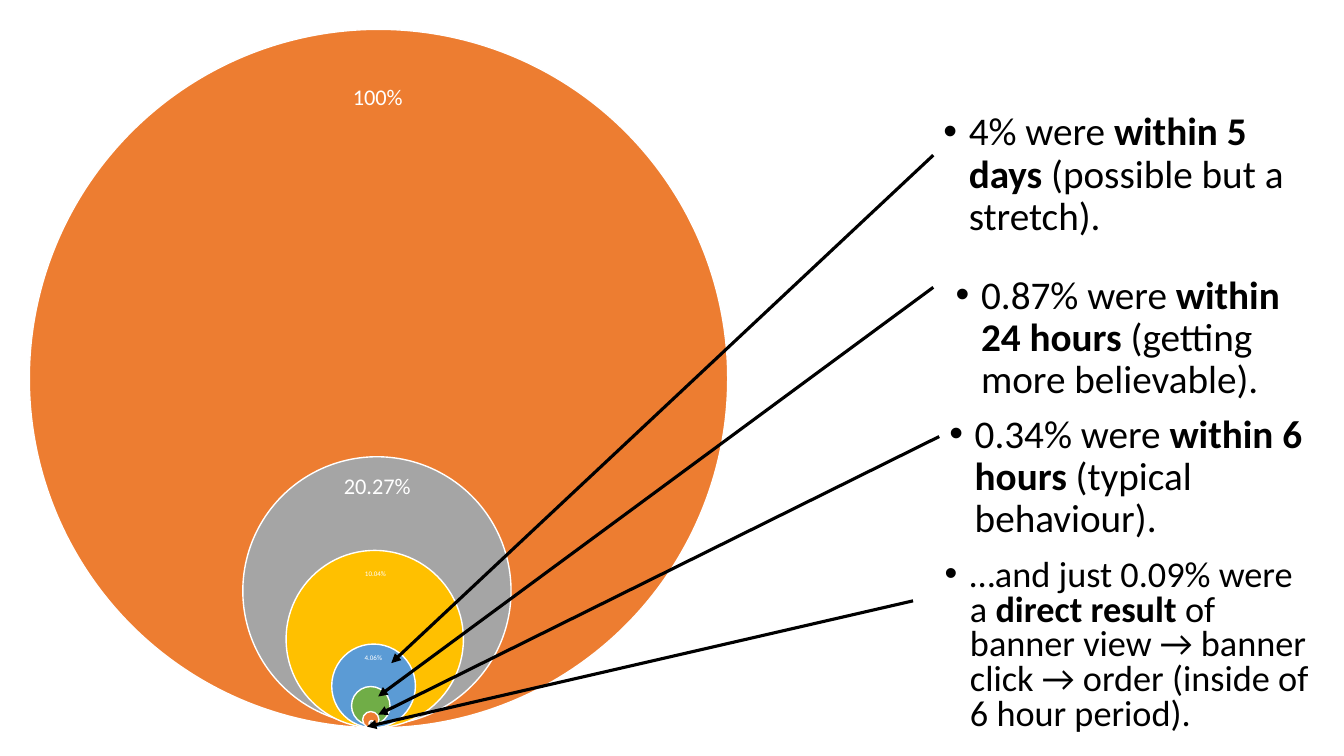
import pptx
import pptx.util
import pptx.dml.color
import pptx.enum.shapes
import pptx.enum.text
import pptx.oxml
import pptx.oxml.ns
import lxml.etree

Cm = pptx.util.Cm
Pt = pptx.util.Pt
MIDDLE = pptx.enum.text.MSO_ANCHOR.MIDDLE
TOP = pptx.enum.text.MSO_ANCHOR.TOP
CENTER = pptx.enum.text.PP_ALIGN.CENTER
LEFT = pptx.enum.text.PP_ALIGN.LEFT

FONT = "Calibri"
COLORS = {
    "orange": "ED7D31", "gray": "A5A5A5", "yellow": "FFC000",
    "blue": "5B9BD5", "green": "70AD47", "white": "FFFFFF", "black": "000000",
}

CIRCLES = [
    {"left": 0.74, "top": 0.74, "size": 17.6, "color": "orange"},
    {"left": 6.12, "top": 11.51, "size": 6.76, "color": "gray"},
    {"left": 7.21, "top": 13.87, "size": 4.47, "color": "yellow"},
    {"left": 8.36, "top": 16.23, "size": 2.11, "color": "blue"},
    {"left": 8.86, "top": 17.3, "size": 0.97, "color": "green"},
    {"left": 9.14, "top": 17.93, "size": 0.41, "color": "orange"},
    {"left": 9.3, "top": 18.16, "size": 0.13, "color": "gray"},
]

LABELS = [
    {"text": "100%", "place": (6.22, 1.6, 6.6, 1.75), "size": 16, "inset": 0.3},
    {"text": "20.27%", "place": (8.05, 11.89, 2.92, 0.79), "size": 16, "inset": 0.3},
    {"text": "10.04%", "place": (8.31, 14.17, 2.31, 0.61), "size": 5, "inset": 0.1},
    {"text": "4.06%", "place": (8.84, 16.41, 1.14, 0.38), "size": 5, "inset": 0.1},
]

NOTE_WIDTH = 9.73
NOTES = [
    {"runs": [("4% were ", False), ("within 5 days ", True),
              ("(possible but a stretch).", False)],
     "place": (23.52, 2.69, NOTE_WIDTH, 4.32), "size": 28, "spacing": 0.9,
     "arrow": (23.52, 3.91, 9.86, 16.71)},
    {"runs": [("0.87% were ", False), ("within 24 hours", True),
              (" (getting more believable).", False)],
     "place": (23.83, 6.81, NOTE_WIDTH, 3.86), "size": 28, "spacing": 0.9,
     "arrow": (23.52, 7.24, 9.53, 17.55)},
    {"runs": [("0.34% were ", False), ("within 6 hours", True),
              (" (typical behaviour).", False)],
     "place": (23.67, 10.31, NOTE_WIDTH, 3.86), "size": 28, "spacing": 0.9,
     "arrow": (23.67, 11, 9.53, 18.01)},
    {"runs": [("…and just 0.09% were a ", False), ("direct result ", True),
              ("of banner view → banner click → order (inside of 6 hour period).", False)],
     "place": (23.55, 13.97, NOTE_WIDTH, 4.75), "size": 25.9, "spacing": 0.8,
     "arrow": (23.01, 15.14, 9.25, 18.31)},
]


def color_of(name):
    return pptx.dml.color.RGBColor.from_string(COLORS[name])


def add_child(parent, tag, **attributes):
    child = lxml.etree.SubElement(parent, pptx.oxml.ns.qn(tag))
    for name, value in attributes.items():
        child.set(name, value)
    return child


def write_text(box, runs, size, color, align=LEFT, anchor=TOP, spacing=0.9,
               before=0, inset=None, bullet=False):
    frame = box.text_frame
    frame.word_wrap = True
    frame.auto_size = pptx.enum.text.MSO_AUTO_SIZE.NONE
    frame.vertical_anchor = anchor
    if inset is not None:
        frame.margin_left = frame.margin_right = Cm(inset)
        frame.margin_top = frame.margin_bottom = Cm(inset)
    para = frame.paragraphs[0]
    para.alignment = align
    para.line_spacing = spacing
    para.space_before = Pt(before)
    for text, bold in runs:
        span = para.add_run()
        span.text = text
        span.font.name = FONT
        span.font.size = Pt(size)
        span.font.bold = bold
        span.font.color.rgb = color_of(color)
    if bullet:
        properties = para._p.get_or_add_pPr()
        indent = Cm(0.64)
        properties.set("marL", str(indent))
        properties.set("indent", str(-indent))
        add_child(properties, "a:buFont", typeface="Arial")
        add_child(properties, "a:buChar", char="•")


def add_circle(page, left, top, size, color):
    circle = page.shapes.add_shape(
        pptx.enum.shapes.MSO_SHAPE.OVAL, Cm(left), Cm(top), Cm(size), Cm(size))
    circle.shadow.inherit = False
    circle.fill.solid()
    circle.fill.fore_color.rgb = color_of(color)
    circle.line.color.rgb = color_of("white")
    circle.line.width = Pt(1)


def add_arrow(page, ends):
    arrow = page.shapes.add_connector(
        pptx.enum.shapes.MSO_CONNECTOR.STRAIGHT, *map(Cm, ends))
    arrow.line.color.rgb = color_of("black")
    arrow.line.width = Pt(2.25)
    add_child(arrow.line._get_or_add_ln(), "a:tailEnd", type="triangle")
    add_child(arrow._element.spPr, "a:effectLst")


def main():
    deck = pptx.Presentation()
    deck.slide_width, deck.slide_height = Cm(33.87), Cm(19.05)
    page = deck.slides.add_slide(deck.slide_layouts.get_by_name("Comparison"))
    title = page.shapes.title._element
    title.getparent().remove(title)

    for circle in CIRCLES:
        add_circle(page, **circle)
    for label in LABELS:
        box = page.shapes.add_textbox(*map(Cm, label["place"]))
        write_text(box, [(label["text"], False)], label["size"], "white",
                   align=CENTER, anchor=MIDDLE, inset=label["inset"])
    for box, note in zip(page.placeholders, NOTES):
        box.left, box.top, box.width, box.height = map(Cm, note["place"])
        write_text(box, note["runs"], note["size"], "black",
                   spacing=note["spacing"], before=10, bullet=True)
        add_arrow(page, note["arrow"])

    deck.save("out.pptx")


if __name__ == "__main__":
    main()
